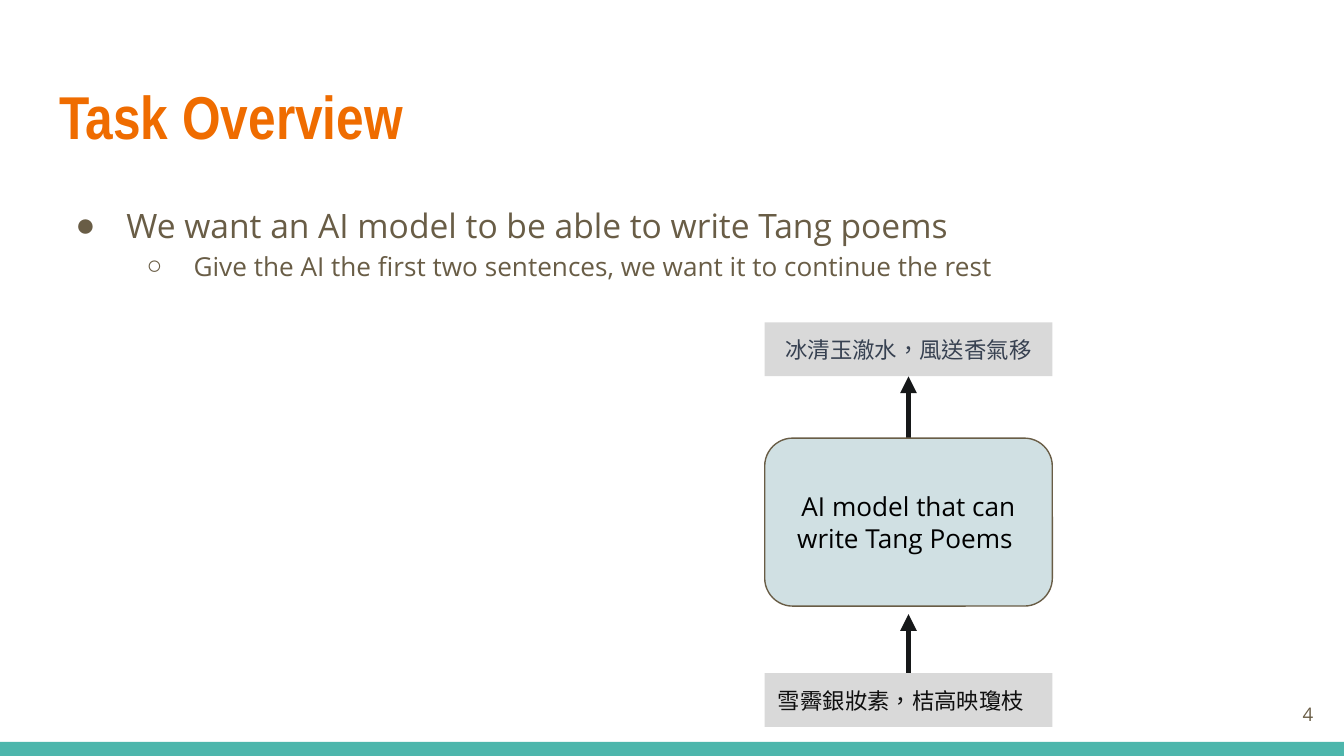
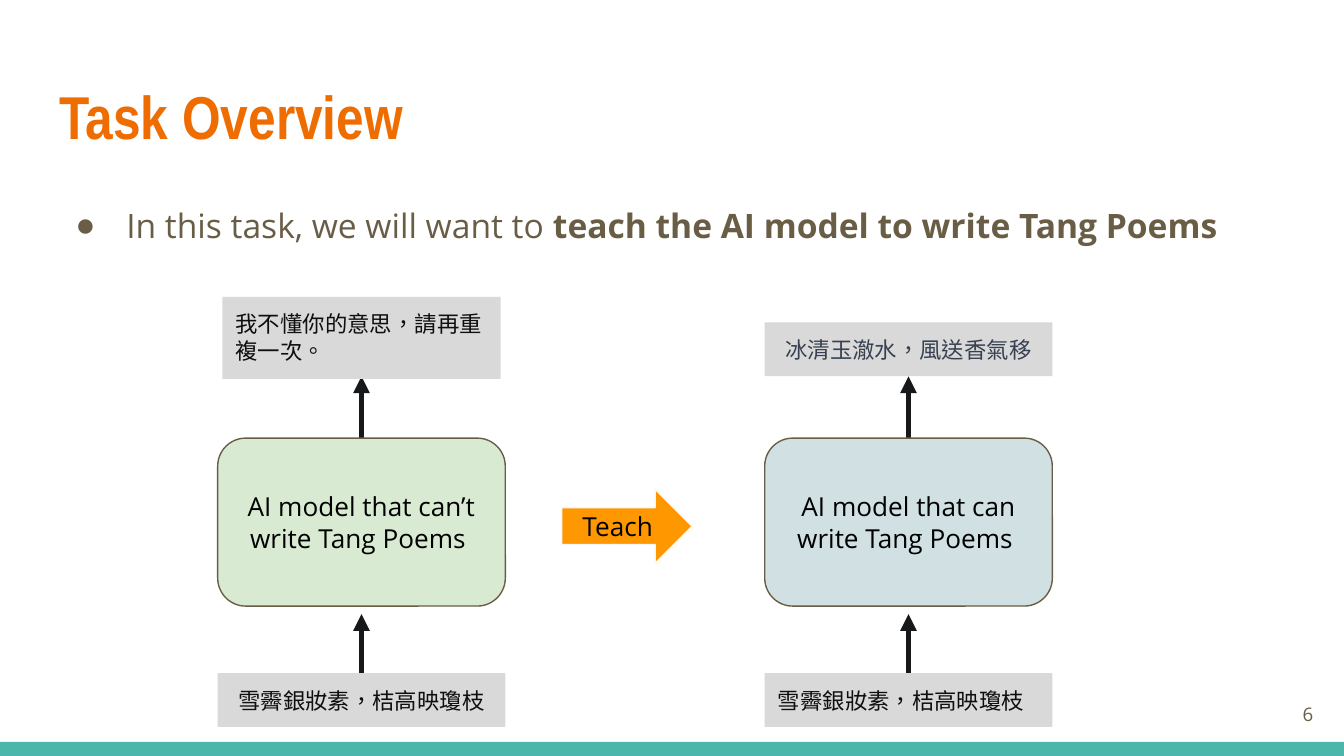
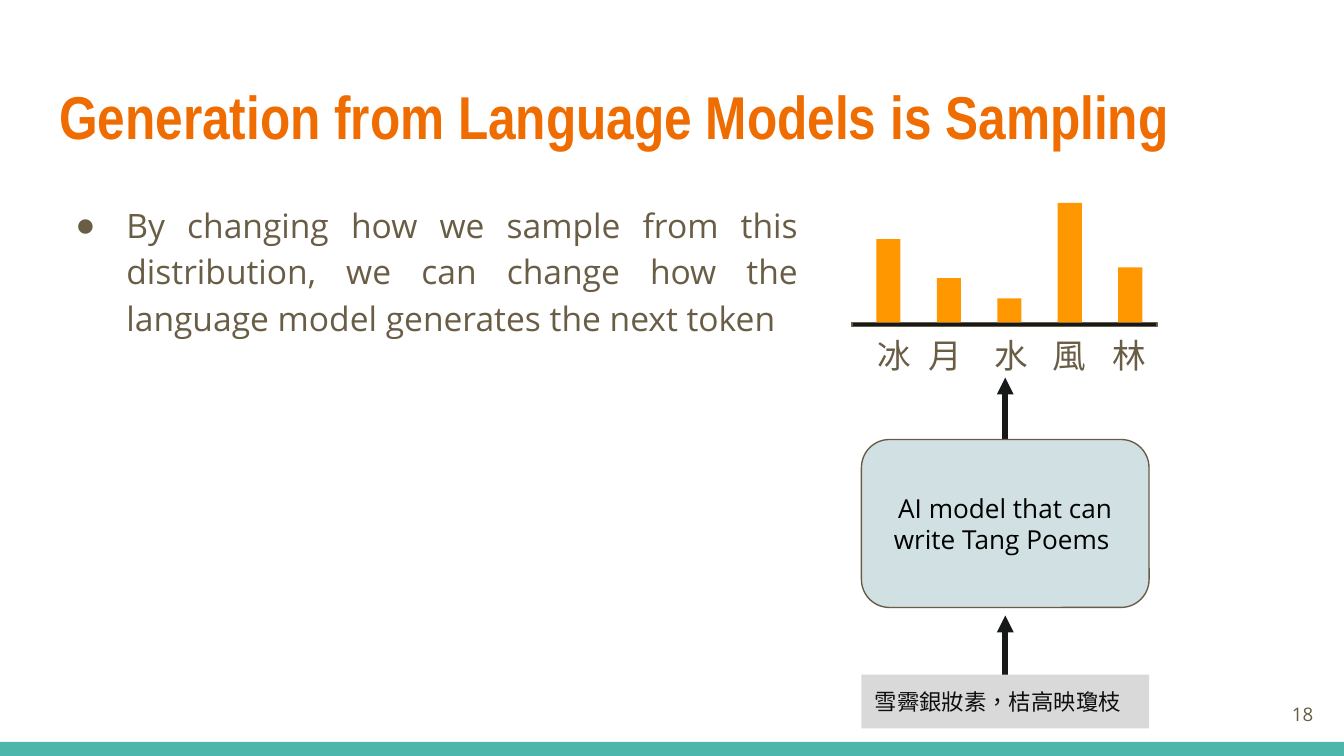
"""Build three slides on teaching a language model to write Tang poems."""
import copy
from dataclasses import dataclass
from typing import Any, Optional

import pptx
import pptx.dml.color
import pptx.enum.lang
import pptx.enum.shapes
import pptx.enum.text
import pptx.oxml.ns
import pptx.util
from lxml import etree

Inches = pptx.util.Inches
Pt = pptx.util.Pt
qn = pptx.oxml.ns.qn
SHAPE = pptx.enum.shapes.MSO_SHAPE
ALIGN = pptx.enum.text.PP_ALIGN
ANCHOR = pptx.enum.text.MSO_ANCHOR
AUTO_SIZE = pptx.enum.text.MSO_AUTO_SIZE
CHINESE = pptx.enum.lang.MSO_LANGUAGE_ID.TRADITIONAL_CHINESE

COLORS = {
    "title": "EF6C00",
    "body": "695D46",
    "band": "4DB6AC",
    "arrow": "161819",
    "box": "D9D9D9",
    "trained": "D0E0E3",
    "untrained": "D9EAD3",
    "accent": "FF9800",
    "accent_line": "F8F8F8",
    "black": "000000",
    "ink": "0F0F0F",
    "answer": "374151",
}
HEADING_FONT, BODY_FONT, POEM_FONT = "Arial Narrow", "Open Sans", "Arial"
PROMPT = "雪霽銀妝素，桔高映瓊枝"
MODEL_WIDTH = 2.14


@dataclass
class Bullet:
    text: str
    bold_end: str = ""
    level: int = 0
    align: Any = ALIGN.LEFT


@dataclass
class Answer:
    text: str
    top: float = 2.4
    width: float = MODEL_WIDTH
    height: float = 0.4
    color: str = "answer"
    align: Any = ALIGN.CENTER


@dataclass
class Model:
    name: str
    left: float
    fill: str = "trained"
    drop: float = 0
    prompt_align: Any = ALIGN.LEFT
    answer: Optional[Answer] = None


@dataclass
class Bar:
    token: str
    height: float
    label_left: float


BULLET_STYLES = [("●", 0.5, -0.38, 18), ("○", 1, -0.35, 14)]
POEM_ANSWER = Answer("冰清玉澈水，風送香氣移")
CONFUSED_ANSWER = Answer("我不懂你的意思，請再重複一次。", 2.21, 2.07, 0.61, "ink", ALIGN.LEFT)
TRAINED_NAME = "AI model that can\nwrite Tang Poems "
TRAINED = Model(TRAINED_NAME, 5.69, answer=POEM_ANSWER)
UNTRAINED = Model("AI model that can’t\nwrite Tang Poems ", 1.62, "untrained",
                  prompt_align=ALIGN.CENTER, answer=CONFUSED_ANSWER)
SAMPLED = Model(TRAINED_NAME, 6.41, drop=0.01)
BARS = [
    Bar("冰", 0.62, 6.43),
    Bar("月", 0.33, 6.81),
    Bar("水", 0.18, 7.3),
    Bar("風", 0.89, 7.73),
    Bar("林", 0.41, 8.18),
]


def rgb(name: str) -> Any:
    """Return the named palette colour."""
    return pptx.dml.color.RGBColor.from_string(COLORS[name])


def style_run(r: Any, *, size: float, color: str, font: str = BODY_FONT, bold: bool = False) -> None:
    """Format one run."""
    r.font.size, r.font.name, r.font.bold = Pt(size), font, bold
    r.font.color.rgb = rgb(color)
    if font == POEM_FONT:
        r.font.language_id = CHINESE


def set_frame(tf: Any, anchor: Any = ANCHOR.TOP, auto_size: Any = AUTO_SIZE.NONE) -> None:
    """Give a text frame the shared insets and wrapping."""
    tf.word_wrap, tf.auto_size, tf.vertical_anchor = True, auto_size, anchor
    tf.margin_left = tf.margin_top = tf.margin_right = tf.margin_bottom = Inches(0.1)


def write_text(sp: Any, text: str, *, size: float, color: str, font: str = BODY_FONT,
               bold: bool = False, align: Any = ALIGN.LEFT, anchor: Any = ANCHOR.TOP,
               auto_size: Any = AUTO_SIZE.NONE) -> None:
    """Write one formatted paragraph, with line breaks at newlines."""
    set_frame(sp.text_frame, anchor, auto_size)
    p = sp.text_frame.paragraphs[0]
    p.text, p.alignment = text, align
    for r in p.runs:
        style_run(r, size=size, color=color, font=font, bold=bold)
    for br in sp.element.iter(qn("a:br")):
        br.insert(0, copy.deepcopy(next(sp.element.iter(qn("a:rPr")))))


def place(sp: Any, left: float, top: float, width: float, height: float) -> None:
    """Move and size a shape."""
    sp.left, sp.top = Inches(left), Inches(top)
    sp.width, sp.height = Inches(width), Inches(height)


def add_box(shapes: Any, left: float, top: float, width: float, height: float, *, fill: str,
            line: Optional[str] = None, kind: Any = SHAPE.RECTANGLE) -> Any:
    """Add a flat filled shape."""
    sp = shapes.add_shape(kind, Inches(left), Inches(top), Inches(width), Inches(height))
    sp.shadow.inherit = False
    sp.fill.solid()
    sp.fill.fore_color.rgb = rgb(fill)
    if line:
        sp.line.color.rgb = rgb(line)
        sp.line.width = Pt(0.75)
    else:
        sp.line.fill.background()
    return sp


def add_label(s: Any, left: float, top: float, width: float, height: float,
              text: str, **style: Any) -> None:
    """Add a text box."""
    sp = s.shapes.add_textbox(Inches(left), Inches(top), Inches(width), Inches(height))
    write_text(sp, text, color="body", **style)


def add_up_arrow(shapes: Any, x: float, bottom: float, length: float = 0.58) -> None:
    """Add a thick arrow pointing up."""
    sp = shapes.add_connector(pptx.enum.shapes.MSO_CONNECTOR.STRAIGHT, Inches(x),
                              Inches(bottom), Inches(x), Inches(bottom - length))
    sp.line.color.rgb = rgb("arrow")
    sp.line.width = Pt(3)
    spPr = sp.element.spPr
    etree.SubElement(spPr.find(qn("a:ln")), qn("a:tailEnd"), type="triangle")
    etree.SubElement(spPr, qn("a:effectLst"))


def add_model(s: Any, model: Model) -> None:
    """Draw a model with its prompt below and its answer above."""
    shapes = s.shapes.add_group_shape().shapes
    center = model.left + MODEL_WIDTH / 2
    add_up_arrow(shapes, center, 3.38 + model.drop)
    sp = add_box(shapes, model.left, 3.26 + model.drop, MODEL_WIDTH, 1.25, fill=model.fill,
                 line="body", kind=SHAPE.ROUNDED_RECTANGLE)
    write_text(sp, model.name, size=14, color="black", align=ALIGN.CENTER, anchor=ANCHOR.MIDDLE)
    add_up_arrow(shapes, center, 5.15 + model.drop)
    lines = [Answer(PROMPT, 5.01 + model.drop, color="ink", align=model.prompt_align)]
    if model.answer:
        lines.append(model.answer)
    for line in lines:
        sp = add_box(shapes, center - line.width / 2, line.top, line.width, line.height, fill="box")
        write_text(sp, line.text, size=12, color=line.color, font=POEM_FONT, align=line.align,
                   auto_size=AUTO_SIZE.SHAPE_TO_FIT_TEXT)


def add_distribution(s: Any) -> None:
    """Draw the next-token bars on their axis, with token labels."""
    baseline = 2.4
    shapes = s.shapes.add_group_shape().shapes
    add_box(shapes, 6.34, baseline, 2.27, 0.03, fill="arrow", line="body")
    for i, bar in enumerate(BARS):
        add_box(shapes, 6.52 + 0.45 * i, baseline - bar.height, 0.18, bar.height, fill="accent")
    for bar in BARS:
        add_label(s, bar.label_left, 2.39, 0.49, 0.55, bar.token, size=18)


def add_teach_arrow(s: Any) -> None:
    """Add the block arrow between the two models."""
    sp = add_box(s.shapes, 4.18, 3.64, 0.97, 0.55, fill="accent", line="accent_line",
                 kind=SHAPE.RIGHT_ARROW)
    write_text(sp, "Teach", size=14, color="black", align=ALIGN.CENTER, anchor=ANCHOR.MIDDLE)


def write_bullet(p: Any, bullet: Bullet) -> None:
    """Write one bulleted paragraph."""
    mark, margin, indent, size = BULLET_STYLES[bullet.level]
    p.level, p.alignment = bullet.level, bullet.align
    p.line_spacing, p.space_before = 1.15, Pt(0)
    pPr = p._p.get_or_add_pPr()
    pPr.set("marL", str(Inches(margin)))
    pPr.set("indent", str(Inches(indent)))
    color = etree.SubElement(pPr, qn("a:buClr"))
    etree.SubElement(color, qn("a:srgbClr"), val=COLORS["body"])
    etree.SubElement(pPr, qn("a:buChar"), char=mark)
    for text, bold in ((bullet.text, False), (bullet.bold_end, True)):
        if text:
            r = p.add_run()
            r.text = text
            style_run(r, size=size, color="body", bold=bold)


def add_slide(prs: Any, title: str, number: int, bullets: list[Bullet],
              body_width: float = 9.32, body_height: float = 1.29) -> Any:
    """Add a slide with its title, list and page number."""
    s = prs.slides.add_slide(prs.slide_layouts[1])
    place(s.shapes.title, 0.34, 0.49, 9.32, 0.77)
    write_text(s.shapes.title, title, size=32.4, color="title", font=HEADING_FONT, bold=True)
    body = s.placeholders[1]
    place(body, 0.34, 1.38, body_width, body_height)
    tf = body.text_frame
    set_frame(tf)
    for i, bullet in enumerate(bullets):
        write_bullet(tf.add_paragraph() if i else tf.paragraphs[0], bullet)
    add_label(s, 9.27, 5.1, 0.6, 0.43, str(number), size=10, align=ALIGN.RIGHT,
              anchor=ANCHOR.MIDDLE)
    return s


def add_layout_band(s: Any) -> None:
    """Put the bottom band on the layout that the slides share."""
    band = add_box(s.shapes, 0, 5.52, 10, 0.11, fill="band")
    s.slide_layout.shapes.element.append(band.element)


def main() -> None:
    """Build and save the deck."""
    prs = pptx.Presentation()
    prs.slide_width, prs.slide_height = Inches(10), Inches(10 * 9 / 16)

    s = add_slide(prs, "Task Overview", 4, [
        Bullet("We want an AI model to be able to write Tang poems"),
        Bullet("Give the AI the first two sentences, we want it to continue the rest", level=1),
    ])
    add_layout_band(s)
    add_model(s, TRAINED)

    s = add_slide(prs, "Task Overview", 6, [
        Bullet("In this task, we will want to ", "teach the AI model to write Tang Poems"),
    ])
    add_teach_arrow(s)
    add_model(s, TRAINED)
    add_model(s, UNTRAINED)

    s = add_slide(prs, "Generation from Language Models is Sampling", 18, [
        Bullet("By changing how we sample from this distribution, we can change how the "
               "language model generates the next token", align=ALIGN.JUSTIFY),
    ], body_width=5.7, body_height=3.61)
    add_model(s, SAMPLED)
    add_distribution(s)

    prs.save("out.pptx")


if __name__ == "__main__":
    main()
